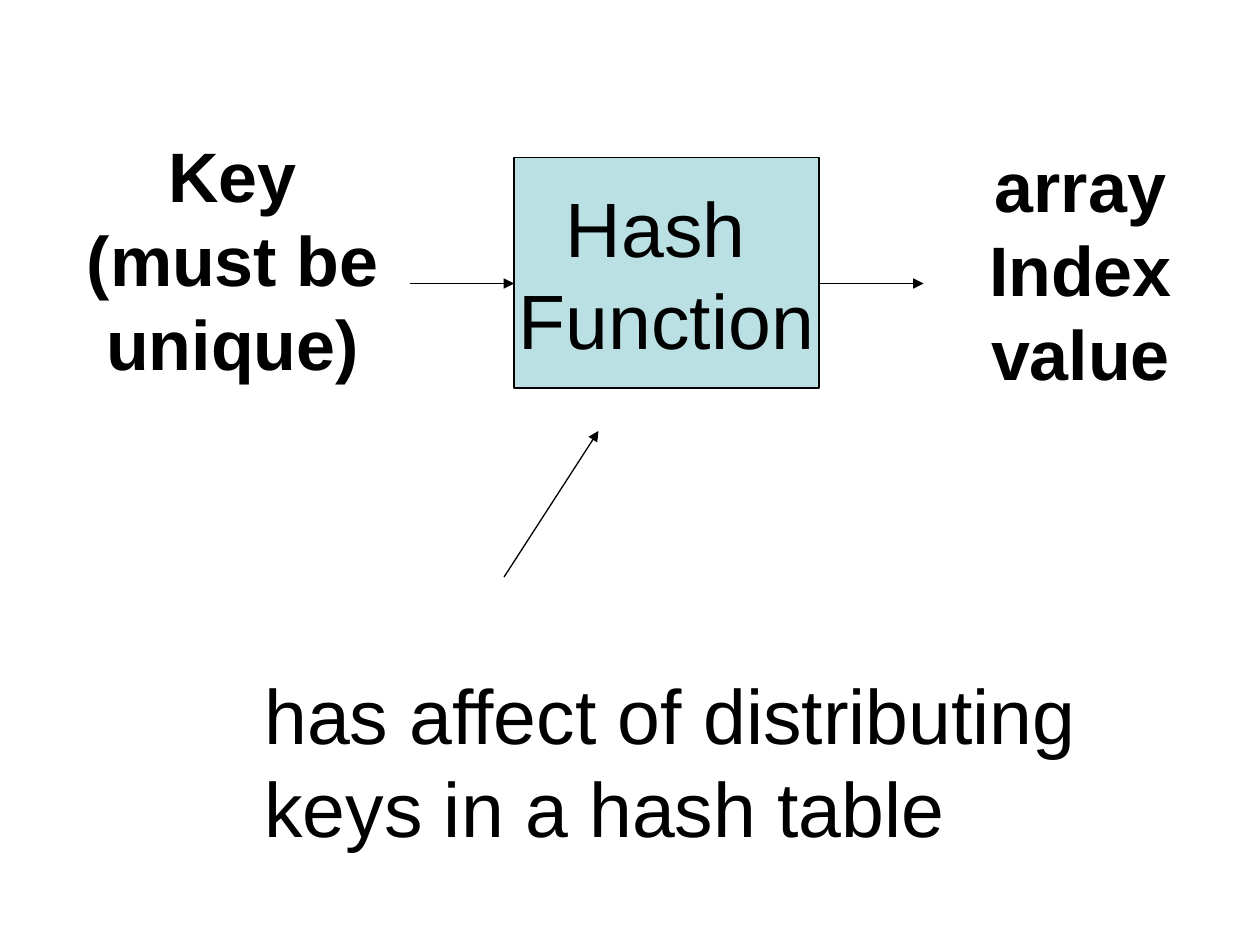
from dataclasses import dataclass

import pptx
import pptx.dml.color
import pptx.enum.shapes
import pptx.enum.text
import pptx.oxml
import pptx.oxml.ns
import pptx.shapes.autoshape
import pptx.shapes.connector
import pptx.slide
import pptx.text.text
import pptx.util

Inches = pptx.util.Inches
Align = pptx.enum.text.PP_ALIGN
Anchor = pptx.enum.text.MSO_ANCHOR

COLORS = {"ink": "000000", "box": "BBE0E3"}
FONT = "Arial"
LINE_WIDTH = pptx.util.Pt(0.75)


@dataclass(frozen=True)
class Label:
    left: float
    top: float
    width: float
    height: float
    lines: tuple[str, ...]
    size: int
    bold: bool = False
    align: Align = Align.CENTER


@dataclass(frozen=True)
class Arrow:
    start: tuple[float, float]
    end: tuple[float, float]


KEY = Label(0.59, 1, 2.51, 2.1, ("Key", "(must be", "unique)"), 40, bold=True)
HASH_FUNCTION = Label(4.08, 1.25, 2.42, 1.83, ("Hash ", "Function"), 44)
ARRAY_INDEX = Label(7.75, 1.08, 1.65, 2.1, ("array", "Index", "value"), 40, bold=True)
EFFECT = Label(2, 5.25, 6.83, 1.57,
               ("has affect of distributing", "keys in a hash table"), 44, align=Align.LEFT)

ARROWS = (
    Arrow((3.25, 2.25), (4.08, 2.25)),
    Arrow((6.5, 2.25), (7.33, 2.25)),
    Arrow((4, 4.58), (4.75, 3.42)),
)


def color(name: str) -> pptx.dml.color.RGBColor:
    return pptx.dml.color.RGBColor.from_string(COLORS[name])


def bounds(label: Label) -> tuple[pptx.util.Length, ...]:
    return tuple(Inches(n) for n in (label.left, label.top, label.width, label.height))


def write_lines(frame: pptx.text.text.TextFrame, label: Label) -> None:
    frame.word_wrap = False
    for index, line in enumerate(label.lines):
        para = frame.add_paragraph() if index else frame.paragraphs[0]
        para.alignment = label.align
        span = para.add_run()
        span.text = line
        span.font.name = FONT
        span.font.size = pptx.util.Pt(label.size)
        span.font.bold = label.bold
        span.font.color.rgb = color("ink")


def draw_text(page: pptx.slide.Slide, label: Label) -> None:
    frame = page.shapes.add_textbox(*bounds(label)).text_frame
    frame.auto_size = pptx.enum.text.MSO_AUTO_SIZE.SHAPE_TO_FIT_TEXT
    frame.vertical_anchor = Anchor.TOP
    write_lines(frame, label)


def draw_box(page: pptx.slide.Slide, label: Label) -> pptx.shapes.autoshape.Shape:
    box = page.shapes.add_shape(pptx.enum.shapes.MSO_SHAPE.RECTANGLE, *bounds(label))
    box.shadow.inherit = False
    box.fill.solid()
    box.fill.fore_color.rgb = color("box")
    box.line.color.rgb = color("ink")
    box.line.width = LINE_WIDTH
    box.text_frame.vertical_anchor = Anchor.MIDDLE
    write_lines(box.text_frame, label)
    return box


def draw_arrow(page: pptx.slide.Slide, arrow: Arrow) -> pptx.shapes.connector.Connector:
    ends = (Inches(n) for n in arrow.start + arrow.end)
    line = page.shapes.add_connector(pptx.enum.shapes.MSO_CONNECTOR.STRAIGHT, *ends)
    line.line.color.rgb = color("ink")
    line.line.width = LINE_WIDTH
    namespace = pptx.oxml.ns.nsdecls("a")
    outline = line.line._get_or_add_ln()
    outline.append(pptx.oxml.parse_xml(f'<a:tailEnd {namespace} type="triangle"/>'))
    line._element.spPr.append(pptx.oxml.parse_xml(f"<a:effectLst {namespace}/>"))
    return line


def main() -> None:
    deck = pptx.Presentation()
    deck.slide_width = Inches(10)
    deck.slide_height = Inches(7.5)
    page = deck.slides.add_slide(deck.slide_layouts[6])
    draw_box(page, HASH_FUNCTION)
    for label in (KEY, ARRAY_INDEX, EFFECT):
        draw_text(page, label)
    for arrow in ARROWS:
        draw_arrow(page, arrow)
    deck.save("out.pptx")


if __name__ == "__main__":
    main()
